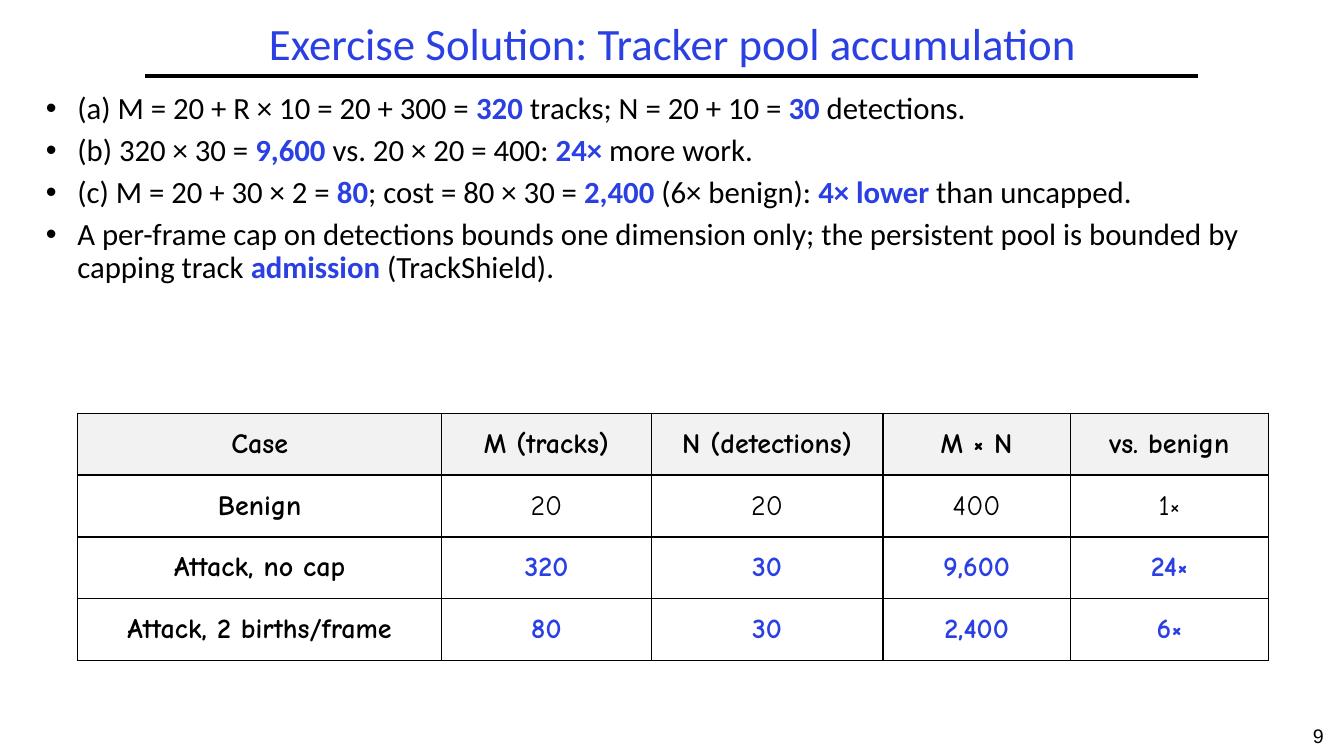
from lxml.etree import SubElement
from pptx import Presentation
from pptx.dml.color import RGBColor
from pptx.enum.shapes import MSO_CONNECTOR
from pptx.enum.text import MSO_ANCHOR, PP_ALIGN
from pptx.oxml.ns import qn
from pptx.util import Cm, Pt

BLACK, BLUE, GRAY = "000000", "2A40E2", "F2F2F2"

TITLE = "Exercise Solution: Tracker pool accumulation"
SOLUTIONS = [
    "(a) M = 20 + R × 10 = 20 + 300 = *320* tracks; N = 20 + 10 = *30* detections.",
    "(b) 320 × 30 = *9,600* vs. 20 × 20 = 400: *24×* more work.",
    "(c) M = 20 + 30 × 2 = *80*; cost = 80 × 30 = *2,400* (6× benign): *4× lower* than uncapped.",
    "A per-frame cap on detections bounds one dimension only; the persistent pool is "
    "bounded by capping track *admission* (TrackShield).",
]
COSTS = [
    ["Case", "M (tracks)", "N (detections)", "M × N", "vs. benign"],
    ["Benign", "20", "20", "400", "1×"],
    ["Attack, no cap", "320", "30", "9,600", "24×"],
    ["Attack, 2 births/frame", "80", "30", "2,400", "6×"],
]
COLUMN_WIDTHS = [9.17, 5.28, 5.84, 4.72, 5]
ROW_HEIGHT = 1.56


def color(value):
    return RGBColor.from_string(value)


def set_format(target, values):
    for name, value in values.items():
        setattr(target, name, value)


def add_run(paragraph, text, font, size, fill, bold=False):
    run = paragraph.add_run()
    run.text = text
    set_format(run.font, {"name": font, "size": Pt(size), "bold": bold})
    run.font.color.rgb = color(fill)


def add_text_box(slide, left, top, width, height, anchor=MSO_ANCHOR.TOP):
    frame = slide.shapes.add_textbox(Cm(left), Cm(top), Cm(width), Cm(height)).text_frame
    set_format(frame, {"word_wrap": True, "vertical_anchor": anchor})
    return frame


def add_label(slide, text, box, font, size, fill, line_spacing):
    paragraph = add_text_box(slide, *box, MSO_ANCHOR.MIDDLE).paragraphs[0]
    set_format(paragraph, {"alignment": PP_ALIGN.CENTER, "line_spacing": line_spacing})
    add_run(paragraph, text, font, size, fill)


def add_rule(slide, left, right, top):
    rule = slide.shapes.add_connector(
        MSO_CONNECTOR.STRAIGHT, Cm(left), Cm(top), Cm(right), Cm(top)
    )
    rule.line.color.rgb = color(BLACK)
    rule.line.width = Pt(3)
    SubElement(rule._element.spPr, qn("a:effectLst"))


def add_bullets(slide, items, box):
    frame = add_text_box(slide, *box)
    for index, item in enumerate(items):
        paragraph = frame.add_paragraph() if index else frame.paragraphs[0]
        set_format(paragraph, {"line_spacing": 0.9, "space_before": Pt(6.3 if index else 0)})
        properties = paragraph._p.get_or_add_pPr()
        properties.set("marL", str(Cm(0.79)))
        properties.set("indent", str(Cm(-0.79)))
        SubElement(properties, qn("a:buFont"), typeface="Arial")
        SubElement(properties, qn("a:buChar"), char="•")
        for part, text in enumerate(item.split("*")):
            strong = part % 2 == 1
            add_run(paragraph, text, "Calibri", 22, BLUE if strong else BLACK, strong)


def add_borders(cell):
    properties = cell._tc.get_or_add_tcPr()
    for position, side in enumerate(("lnL", "lnR", "lnT", "lnB")):
        line = properties.makeelement(qn(f"a:{side}"), {"w": str(Pt(1))})
        fill = SubElement(line, qn("a:solidFill"))
        SubElement(fill, qn("a:srgbClr"), val=BLACK)
        properties.insert(position, line)


def fill_cell(cell, text, fill, bold, background):
    set_format(cell, {
        "vertical_anchor": MSO_ANCHOR.MIDDLE,
        "margin_left": Cm(0.18), "margin_right": Cm(0.18),
        "margin_top": Cm(0.08), "margin_bottom": Cm(0.08),
    })
    if background:
        cell.fill.solid()
        cell.fill.fore_color.rgb = color(background)
    else:
        cell.fill.background()
    paragraph = cell.text_frame.paragraphs[0]
    paragraph.alignment = PP_ALIGN.CENTER
    add_run(paragraph, text, "Comic Neue", 20, fill, bold)
    add_borders(cell)


def add_cost_table(slide, rows, left, top):
    table = slide.shapes.add_table(
        len(rows), len(COLUMN_WIDTHS), Cm(left), Cm(top),
        Cm(sum(COLUMN_WIDTHS)), Cm(ROW_HEIGHT * len(rows)),
    ).table
    set_format(table, {"first_row": False, "horz_banding": False})
    for column, width in zip(table.columns, COLUMN_WIDTHS):
        column.width = Cm(width)
    for row_index, row in enumerate(rows):
        table.rows[row_index].height = Cm(ROW_HEIGHT)
        for column_index, text in enumerate(row):
            attack_value = row_index > 1 and column_index > 0
            fill_cell(
                table.cell(row_index, column_index), text,
                BLUE if attack_value else BLACK,
                row_index != 1 or column_index == 0,
                GRAY if row_index == 0 else None,
            )


def main():
    presentation = Presentation()
    set_format(presentation, {"slide_width": Cm(33.87), "slide_height": Cm(19.05)})
    slide = presentation.slides.add_slide(presentation.slide_layouts[6])
    add_rule(slide, 3.66, 30.2, 1.91)
    add_label(slide, "9", (32.59, 18.03, 1.27, 1.02), "Arial", 14, BLACK, 1.0)
    add_label(slide, TITLE, (3.66, 0.43, 26.59, 1.47), "Calibri", 32, BLUE, 0.9)
    add_bullets(slide, SOLUTIONS, (0.91, 2.21, 31.95, 9.45))
    add_cost_table(slide, COSTS, 1.96, 10.41)
    presentation.save("out.pptx")


if __name__ == "__main__":
    main()
